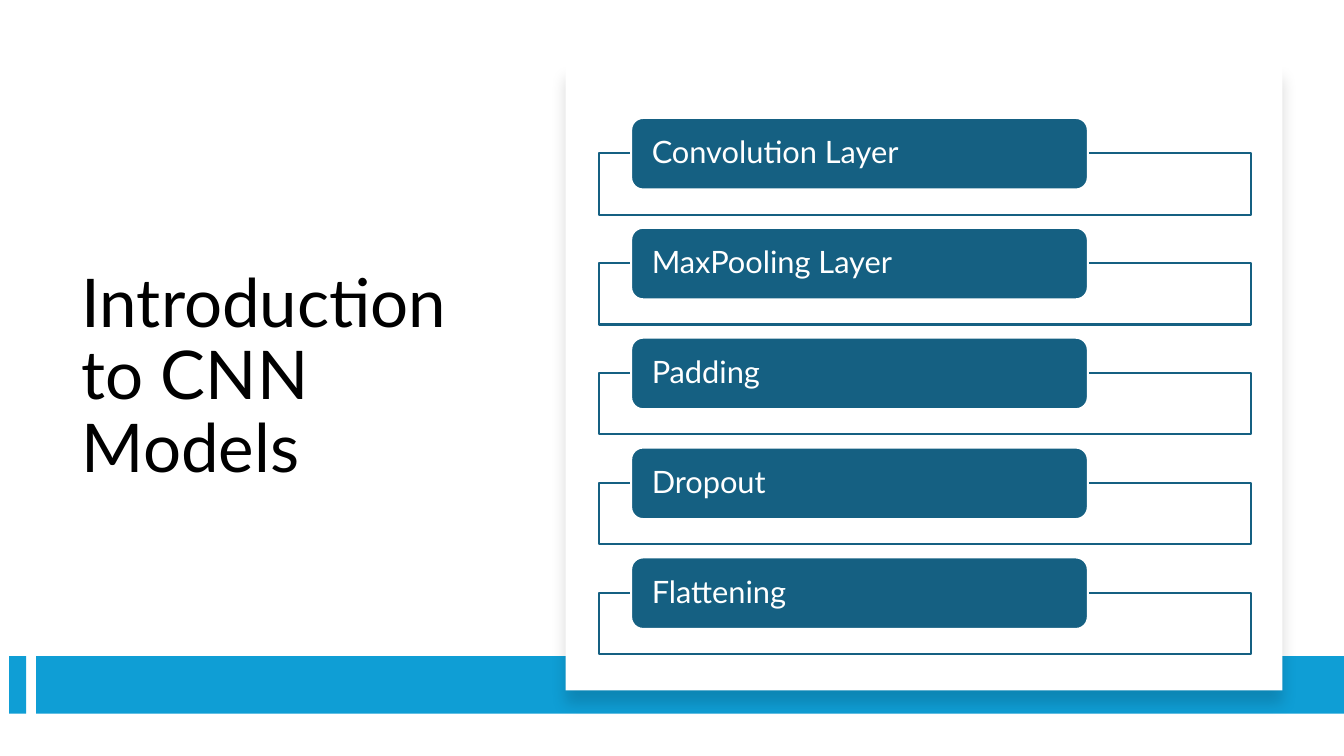
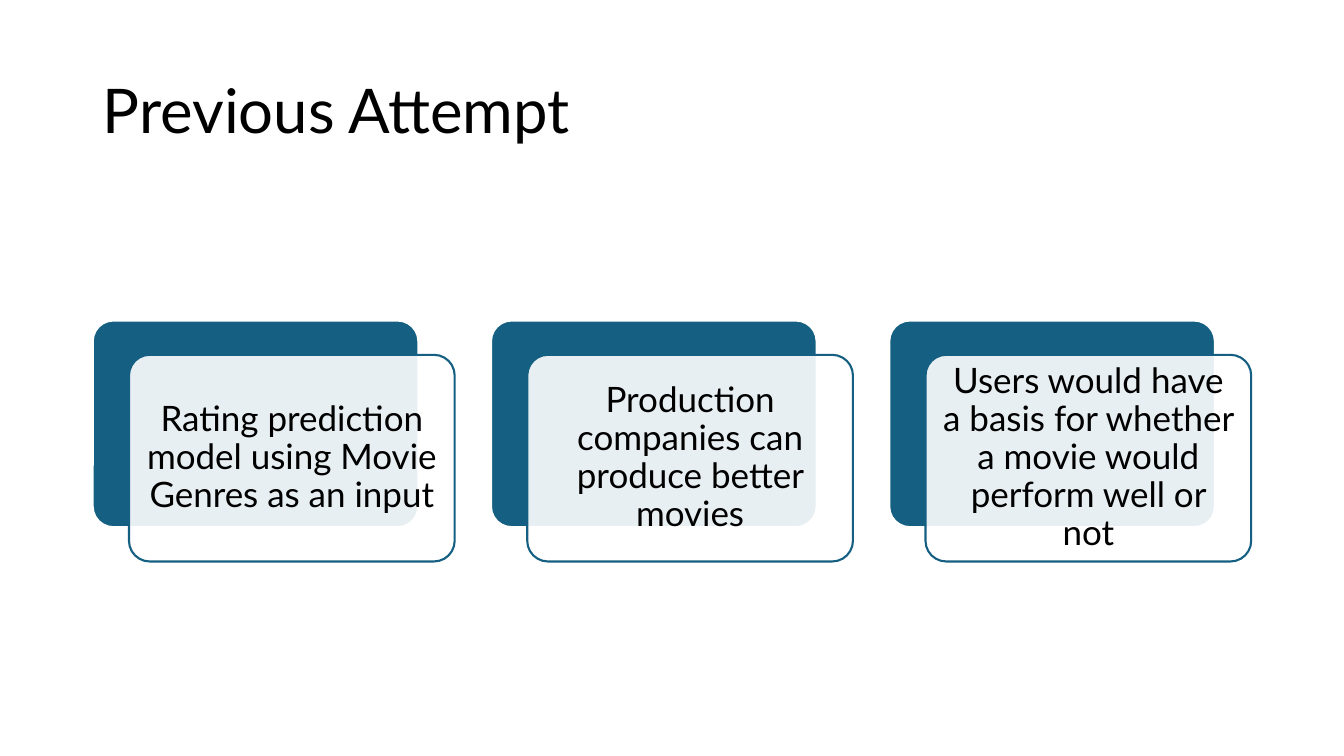
from lxml.etree import SubElement
from pptx import Presentation
from pptx.dml.color import RGBColor
from pptx.enum.shapes import MSO_SHAPE
from pptx.enum.text import MSO_ANCHOR, PP_ALIGN
from pptx.oxml.ns import qn
from pptx.util import Inches, Pt

FONT = "Lato"
BLACK, WHITE = "000000", "FFFFFF"
TEAL, BLUE = "156082", "0F9ED5"

CNN_TITLE = "Introduction to CNN Models"
CNN_TOPICS = ["Convolution Layer", "MaxPooling Layer", "Padding", "Dropout", "Flattening"]
ATTEMPT_TITLE = "Previous Attempt"
ATTEMPT_POINTS = [
    "Rating prediction model using Movie Genres as an input",
    "Production companies can produce better movies",
    "Users would have a basis for whether a movie would perform well or not",
]

# left, top, width, height in inches
FOOTER_BANDS = [(0.09, 6.51, 0.17, 0.57), (0.36, 6.51, 12.97, 0.57)]
PANEL = (5.61, 0.64, 7.11, 6.21)
ROW_PITCH = 1.09
CARD_PITCH = 3.95


def rgb(color):
    return RGBColor.from_string(color)


def place(shape, box):
    shape.left, shape.top, shape.width, shape.height = map(Inches, box)


def add_box(slide, kind, box, fill, line=None, opacity=None):
    shape = slide.shapes.add_shape(kind, *map(Inches, box))
    shape.shadow.inherit = False
    shape.fill.solid()
    shape.fill.fore_color.rgb = rgb(fill)
    if opacity is not None:
        color = shape.fill._xPr.find(".//" + qn("a:srgbClr"))
        SubElement(color, qn("a:alpha"), val=str(opacity * 1000))
    if line:
        shape.line.color.rgb = rgb(line)
        shape.line.width = Pt(1.5)
    else:
        shape.line.fill.background()
    return shape


def write(shape, text, size, color, align=PP_ALIGN.LEFT):
    frame = shape.text_frame
    frame.word_wrap = True
    frame.vertical_anchor = MSO_ANCHOR.MIDDLE
    frame.text = text
    paragraph = frame.paragraphs[0]
    paragraph.alignment = align
    paragraph.line_spacing = 0.9
    paragraph.font.name = FONT
    paragraph.font.size = Pt(size)
    paragraph.font.color.rgb = rgb(color)


def set_margins(shape, side, upright):
    frame = shape.text_frame
    frame.margin_left = frame.margin_right = Inches(side)
    frame.margin_top = frame.margin_bottom = Inches(upright)


def add_drop_shadow(shape, opacity, blur, distance):
    """Cast a black shadow straight down; blur and distance are in points."""
    effects = shape._element.spPr.find(qn("a:effectLst"))
    shadow = SubElement(effects, qn("a:outerShdw"), blurRad=str(Pt(blur)),
                        dist=str(Pt(distance)), dir="5400000", algn="t", rotWithShape="0")
    color = SubElement(shadow, qn("a:srgbClr"), val=BLACK)
    SubElement(color, qn("a:alpha"), val=str(opacity * 1000))


def add_titled_slide(deck, title, box, size):
    slide = deck.slides.add_slide(deck.slide_layouts.get_by_name("Title Only"))
    place(slide.shapes.title, box)
    write(slide.shapes.title, title, size, BLACK)
    return slide


def build_cnn_slide(deck):
    slide = add_titled_slide(deck, CNN_TITLE, (0.71, 1.2, 4.15, 5.1), 48)
    for band in FOOTER_BANDS:
        add_box(slide, MSO_SHAPE.RECTANGLE, band, BLUE)
    panel = add_box(slide, MSO_SHAPE.RECTANGLE, PANEL, WHITE)
    add_drop_shadow(panel, opacity=15, blur=11, distance=10)
    for row, topic in enumerate(CNN_TOPICS):
        top = 1.17 + row * ROW_PITCH
        add_box(slide, MSO_SHAPE.RECTANGLE, (5.94, top + 0.35, 6.47, 0.61), WHITE, TEAL, 90)
        label = add_box(slide, MSO_SHAPE.ROUNDED_RECTANGLE, (6.26, top, 4.53, 0.71), TEAL, WHITE)
        set_margins(label, 0.17, 0)
        write(label, topic, 22, WHITE)


def build_attempt_slide(deck):
    slide = add_titled_slide(deck, ATTEMPT_TITLE, (0.92, 0.4, 11.5, 1.45), 44)
    for column, point in enumerate(ATTEMPT_POINTS):
        left = 0.92 + column * CARD_PITCH
        back = add_box(slide, MSO_SHAPE.ROUNDED_RECTANGLE, (left, 3.18, 3.23, 2.05), TEAL, WHITE)
        front = add_box(slide, MSO_SHAPE.ROUNDED_RECTANGLE, (left + 0.36, 3.52, 3.23, 2.05),
                        WHITE, TEAL, 90)
        for card in (back, front):
            card.adjustments[0] = 0.1
        set_margins(front, 0.1, 0.1)
        write(front, point, 25, BLACK, PP_ALIGN.CENTER)


def main():
    deck = Presentation()
    deck.slide_width, deck.slide_height = Inches(13.33), Inches(7.5)
    build_cnn_slide(deck)
    build_attempt_slide(deck)
    deck.save("out.pptx")


if __name__ == "__main__":
    main()
